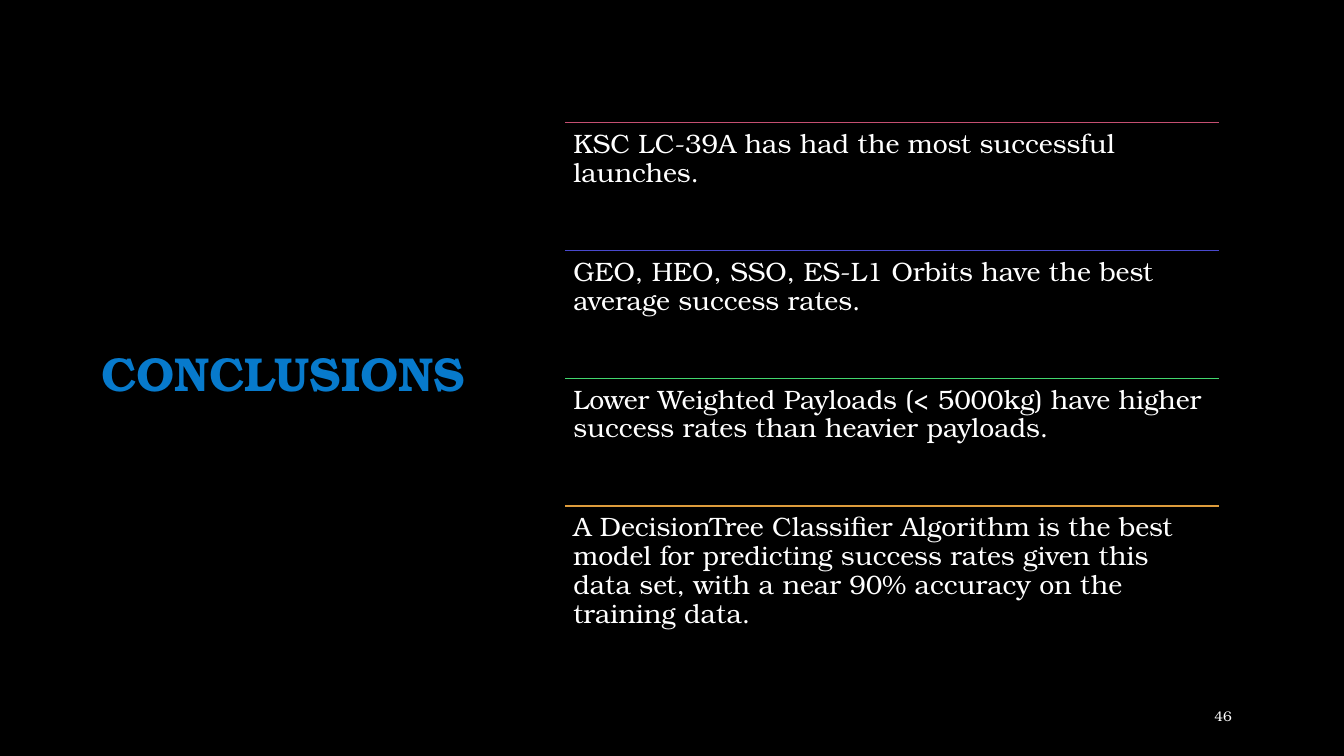
from dataclasses import dataclass

from lxml.etree import SubElement
from pptx import Presentation
from pptx.dml.color import RGBColor as RGB
from pptx.enum.shapes import MSO_CONNECTOR as Connector
from pptx.enum.text import MSO_ANCHOR as Anchor, PP_ALIGN as Align
from pptx.oxml.ns import qn
from pptx.util import Cm, Pt


@dataclass(frozen=True)
class Theme:
    font: str = "TeX Gyre Bonum"
    background: str = "000000"
    title: str = "077ACC"
    body: str = "FFFFFF"
    title_size: int = 34
    body_size: int = 19
    number_size: int = 10
    rule_width: int = 1
    rules: tuple = ("C54F71", "4949CD", "42D66E", "DE9C3C")


theme = Theme()

prs = Presentation()
prs.slide_width, prs.slide_height = Cm(33.87), Cm(19.05)
slide = prs.slides.add_slide(prs.slide_layouts[6])
slide.background.fill.solid()
slide.background.fill.fore_color.rgb = RGB.from_string(theme.background)


def add_text(text, left, top, width, height, size, color=theme.body, bold=False,
             align=Align.LEFT, anchor=Anchor.MIDDLE, spacing=1.0, inset=None):
    frame = slide.shapes.add_textbox(Cm(left), Cm(top), Cm(width), Cm(height)).text_frame
    frame.word_wrap = True
    frame.vertical_anchor = anchor
    if inset is not None:
        frame.margin_left = frame.margin_right = Cm(inset)
        frame.margin_top = frame.margin_bottom = Cm(inset)
    paragraph = frame.paragraphs[0]
    paragraph.alignment = align
    paragraph.line_spacing = spacing
    run = paragraph.add_run()
    run.text = text
    run.font.name = theme.font
    run.font.size = Pt(size)
    run.font.bold = bold
    run.font.color.rgb = RGB.from_string(color)


# Title and slide number
add_text("CONCLUSIONS", 2.08, 1.7, 10.11, 15.57, theme.title_size,
         color=theme.title, bold=True, align=Align.CENTER, spacing=0.9)
add_text("46", 29.21, 17.53, 2.08, 1.02, theme.number_size, align=Align.RIGHT)

# Conclusions, each under its own coloured rule
conclusions = (
    "KSC LC-39A has had the most successful launches.",
    "GEO, HEO, SSO, ES-L1 Orbits have the best average success rates.",
    "Lower Weighted Payloads (< 5000kg) have higher success rates than heavier payloads.",
    "A DecisionTree Classifier Algorithm is the best model for predicting success rates "
    "given this data set, with a near 90% accuracy on the training data.",
)
list_left, list_top, list_width, row_height = 14.25, 3.09, 16.46, 3.22

for row, (conclusion, color) in enumerate(zip(conclusions, theme.rules)):
    top = list_top + row * row_height
    rule = slide.shapes.add_connector(Connector.STRAIGHT, Cm(list_left), Cm(top),
                                      Cm(list_left + list_width), Cm(top))
    rule.line.color.rgb = RGB.from_string(color)
    rule.line.width = Pt(theme.rule_width)
    SubElement(rule.element.spPr, qn("a:effectLst"))
    add_text(conclusion, list_left, top, list_width, row_height, theme.body_size,
             anchor=Anchor.TOP, spacing=0.9, inset=0.2)

prs.save("out.pptx")
